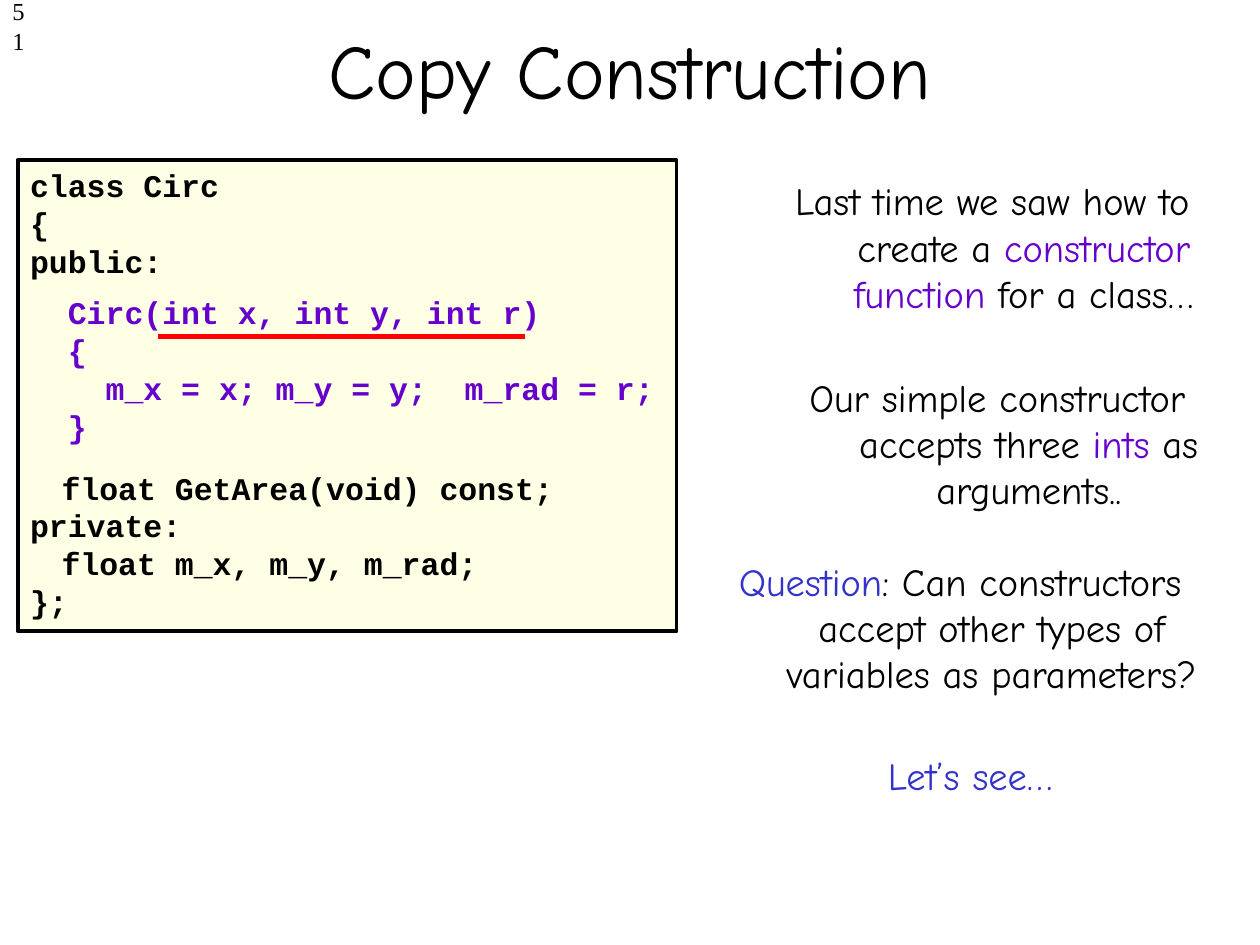
import pptx
import pptx.dml.color
import pptx.enum.shapes
import pptx.enum.text
import pptx.oxml.ns
import pptx.util
from lxml import etree

Inches = pptx.util.Inches
Pt = pptx.util.Pt
ALIGN = pptx.enum.text.PP_ALIGN
ANCHOR = pptx.enum.text.MSO_ANCHOR
HAND, MONO, SERIF = "Comic Neue", "Courier New", "Times New Roman"
COLORS = {
    "black": "000000",
    "cream": "FFFFE5",
    "purple": "6600CC",
    "blue": "3333CC",
    "red": "FF0000",
}


def paint(color):
    return pptx.dml.color.RGBColor.from_string(COLORS[color])


def add_node(parent, tag, **attrs):
    return etree.SubElement(parent, pptx.oxml.ns.qn(tag), attrs)


def write(frame, lines, font=HAND, size=22, color="black", bold=False,
          align=ALIGN.LEFT, anchor=ANCHOR.TOP, wrap=True, hang=0, tab=0, gaps=None):
    """Fill a frame; a line is a string or a list of (text, color) runs.

    gaps maps a line number to the points of space before it.
    """
    frame.word_wrap = wrap
    frame.vertical_anchor = anchor
    for num, line in enumerate(lines):
        para = frame.paragraphs[0] if num == 0 else frame.add_paragraph()
        para.alignment = align
        if gaps and num in gaps:
            para.space_before = Pt(gaps[num])
        props = para._p.get_or_add_pPr()
        if hang:
            props.set("marL", str(Inches(hang)))
            props.set("indent", str(-Inches(hang)))
        if tab:
            stops = add_node(props, "a:tabLst")
            add_node(stops, "a:tab", pos=str(Inches(tab)), algn="l")
        for text, tint in [(line, color)] if isinstance(line, str) else line:
            run = para.add_run()
            run.text = text
            run.font.name = font
            run.font.size = Pt(size)
            run.font.bold = bold
            run.font.color.rgb = paint(tint)


class Deck:
    def __init__(self):
        self.file = pptx.Presentation()
        self.file.slide_width = Inches(10)
        self.file.slide_height = Inches(7.5)
        self.slide = self.file.slides.add_slide(self.file.slide_layouts[6])

    def text(self, box, lines, **style):
        shape = self.slide.shapes.add_textbox(*map(Inches, box))
        write(shape.text_frame, lines, **style)

    def panel(self, box, lines, **style):
        shape = self.slide.shapes.add_shape(
            pptx.enum.shapes.MSO_SHAPE.RECTANGLE, *map(Inches, box))
        shape.shadow.inherit = False
        shape.fill.solid()
        shape.fill.fore_color.rgb = paint("cream")
        shape.line.color.rgb = paint("black")
        shape.line.width = Pt(2.25)
        write(shape.text_frame, lines, **style)

    def line(self, start, end, color, width):
        link = self.slide.shapes.add_connector(
            pptx.enum.shapes.MSO_CONNECTOR.STRAIGHT, *map(Inches, start + end))
        link.line.color.rgb = paint(color)
        link.line.width = Pt(width)
        add_node(link._element.spPr, "a:effectLst")


def main():
    deck = Deck()
    deck.text((0, -0.08, 0.38, 0.5), ["51"], font=SERIF, size=14, wrap=False)
    deck.text((0.75, -0.08, 8.5, 1.25), ["Copy Construction"], size=44,
              align=ALIGN.CENTER, anchor=ANCHOR.MIDDLE)

    code = {"font": MONO, "size": 18, "bold": True}
    deck.panel((0.14, 1.27, 5.23, 3.74), [
        "class Circ",
        "{",
        "public:",
        "\tfloat GetArea(void) const;",
        "private:",
        "\tfloat m_x, m_y, m_rad;",
        "};",
    ], tab=0.25, gaps={3: 108}, **code)
    deck.text((0.29, 2.28, 5, 1.3), [
        " Circ(int x, int y, int r)",
        " {",
        "   m_x = x; m_y = y;  m_rad = r;",
        " }",
    ], color="purple", **code)
    deck.line((1.25, 2.67), (4.17, 2.67), "red", 3)

    notes = [
        ((5.96, 1.36, 3.83, 1.2), [
            ("Last time we saw how to create a ", "black"),
            ("constructor function", "purple"),
            (" for a class…", "black")]),
        ((6, 2.92, 3.83, 1.2), [
            ("Our simple constructor accepts three ", "black"),
            ("ints", "purple"),
            (" as arguments..", "black")]),
        ((5.41, 4.38, 4.42, 1.2), [
            ("Question", "blue"),
            (": Can constructors accept other types of variables as parameters?",
             "black")]),
        ((5.58, 5.92, 4.24, 0.47), [("Let’s see…", "blue")]),
    ]
    for box, runs in notes:
        deck.text(box, [runs], align=ALIGN.CENTER, hang=0.5)

    deck.file.save("out.pptx")


if __name__ == "__main__":
    main()
